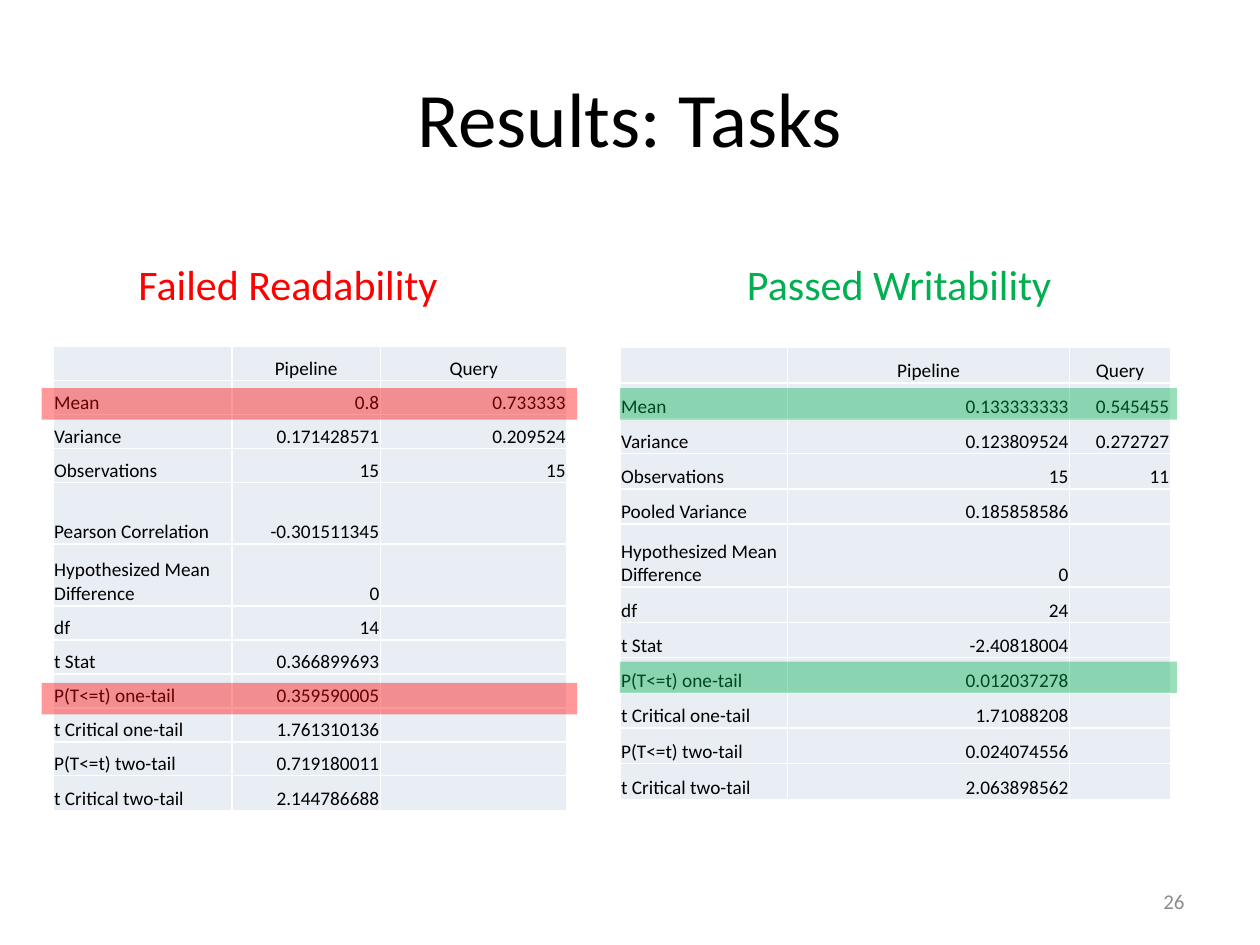
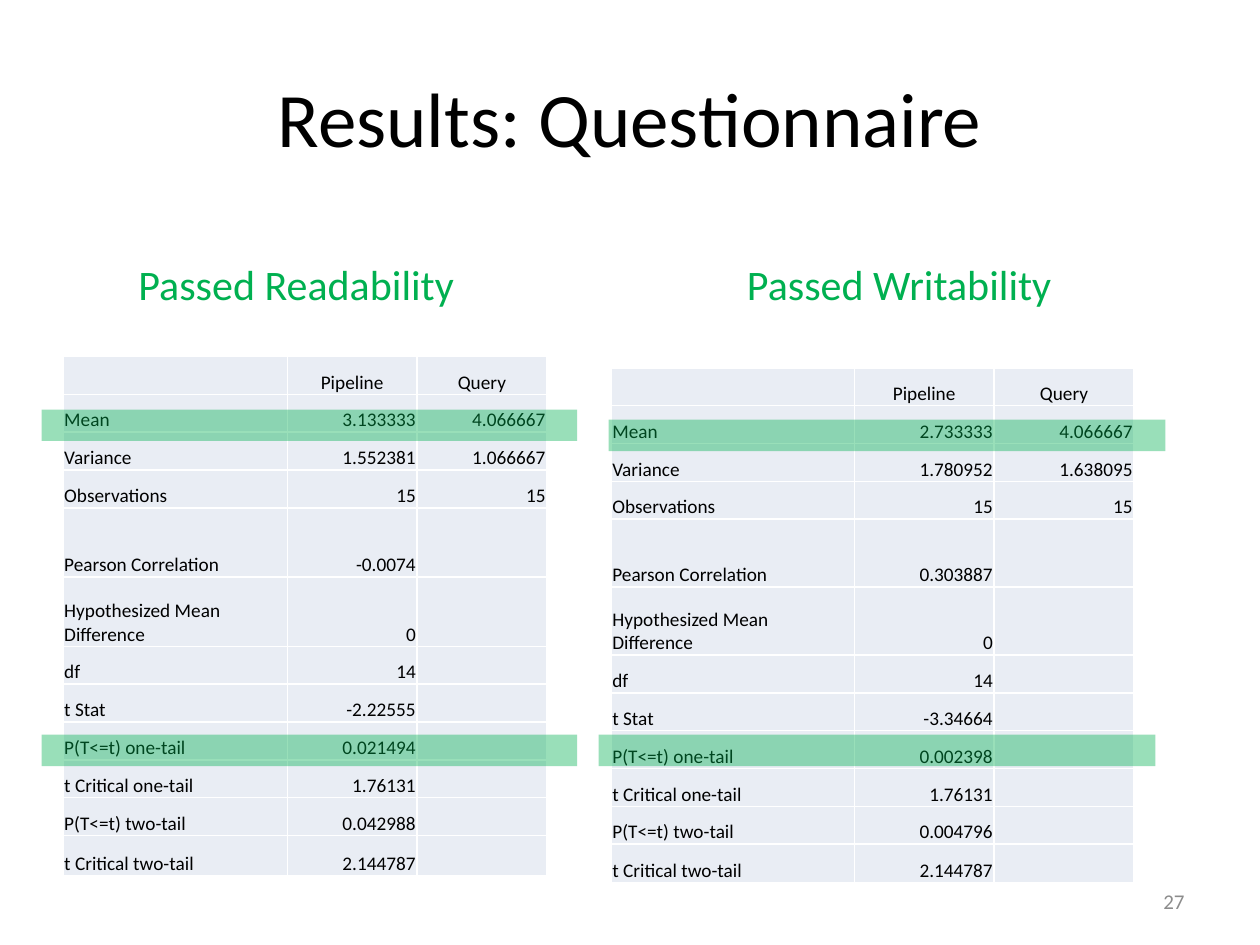
import dataclasses

import lxml.etree
import pptx
import pptx.dml.color
import pptx.enum.shapes
import pptx.enum.text
import pptx.oxml.ns
import pptx.util

Inches = pptx.util.Inches
Pt = pptx.util.Pt
RGBColor = pptx.dml.color.RGBColor
PP_ALIGN = pptx.enum.text.PP_ALIGN
MSO_ANCHOR = pptx.enum.text.MSO_ANCHOR
qn = pptx.oxml.ns.qn


@dataclasses.dataclass(frozen=True)
class Theme:
    font: str = "Calibri"
    ink: str = "000000"
    muted: str = "8C8C8C"
    failed: str = "FF0000"
    passed: str = "00B050"
    cell: str = "E9EDF4"
    border: str = "FFFFFF"
    title_size: int = 44
    verdict_size: int = 24
    number_size: int = 12
    cell_size: int = 11
    band_alpha: int = 40


class Deck:
    def __init__(self, theme):
        self.theme = theme
        self.prs = pptx.Presentation()
        self.prs.slide_width = Inches(10)
        self.prs.slide_height = Inches(7.5)
        self.s = None

    def add_slide(self, title, number):
        t = self.theme
        self.s = self.prs.slides.add_slide(self.prs.slide_layouts[6])
        self.text(title, (0.5, 0.3, 9, 1.25), t.title_size, t.ink,
                  PP_ALIGN.CENTER, MSO_ANCHOR.MIDDLE)
        self.text(str(number), (7.17, 6.95, 2.33, 0.4), t.number_size, t.muted,
                  PP_ALIGN.RIGHT, MSO_ANCHOR.MIDDLE)

    def style(self, p, size, color, align):
        p.alignment = align
        for r in p.runs:
            r.font.name = self.theme.font
            r.font.size = Pt(size)
            r.font.color.rgb = RGBColor.from_string(color)

    def text(self, text, box, size, color, align=PP_ALIGN.LEFT, anchor=MSO_ANCHOR.TOP):
        tf = self.s.shapes.add_textbox(*map(Inches, box)).text_frame
        tf.word_wrap = True
        tf.vertical_anchor = anchor
        tf.text = text
        self.style(tf.paragraphs[0], size, color, align)

    def verdict(self, text, left, color):
        self.text(text, (left, 2, 2.92, 0.5), self.theme.verdict_size, color)

    def table(self, left, top, widths, heights, rows):
        frame = self.s.shapes.add_table(
            len(rows), len(widths), Inches(left), Inches(top),
            Inches(sum(widths)), Inches(sum(heights)))
        table = frame.table
        table.first_row = table.horz_banding = False
        for column, width in zip(table.columns, widths):
            column.width = Inches(width)
        for i, (height, values) in enumerate(zip(heights, rows)):
            table.rows[i].height = Inches(height)
            for j, value in enumerate(values):
                align = (PP_ALIGN.CENTER if i == 0
                         else PP_ALIGN.RIGHT if j else PP_ALIGN.LEFT)
                self.cell(table.cell(i, j), value, align)

    def cell(self, cell, value, align):
        t = self.theme
        cell.margin_left = cell.margin_right = cell.margin_top = Inches(0.01)
        cell.margin_bottom = 0
        cell.vertical_anchor = MSO_ANCHOR.BOTTOM
        p = cell.text_frame.paragraphs[0]
        if value:
            p.text = value
            self.style(p, t.cell_size, t.ink, align)
        else:
            p._p.get_or_add_endParaRPr().set("sz", str(t.cell_size * 100))
        tcPr = cell._tc.get_or_add_tcPr()
        for side in ("lnL", "lnR", "lnT", "lnB"):
            ln = lxml.etree.SubElement(tcPr, qn(f"a:{side}"), w=str(Pt(1)))
            fill = lxml.etree.SubElement(ln, qn("a:solidFill"))
            lxml.etree.SubElement(fill, qn("a:srgbClr"), val=t.border)
        cell.fill.solid()
        cell.fill.fore_color.rgb = RGBColor.from_string(t.cell)

    def band(self, left, top, width, color):
        sp = self.s.shapes.add_shape(
            pptx.enum.shapes.MSO_SHAPE.RECTANGLE,
            Inches(left), Inches(top), Inches(width), Inches(0.25))
        sp.shadow.inherit = False
        sp.line.fill.background()
        sp.fill.solid()
        sp.fill.fore_color.rgb = RGBColor.from_string(color)
        clr = sp._element.spPr.find(f".//{qn('a:srgbClr')}")
        lxml.etree.SubElement(clr, qn("a:alpha"), val=str(self.theme.band_alpha * 1000))


HEADER = ("", "Pipeline", "Query")
PEARSON = "Pearson Correlation"
POOLED = "Pooled Variance"
HYPOTHESIZED = "Hypothesized Mean Difference"
VERDICT_LEFTS = (1, 5.83)


def stat_rows(correlation, pipeline, query):
    labels = ("Mean", "Variance", "Observations", correlation, HYPOTHESIZED,
              "df", "t Stat", "P(T<=t) one-tail", "t Critical one-tail",
              "P(T<=t) two-tail", "t Critical two-tail")
    queries = query + ("",) * (len(labels) - len(query))
    return [HEADER, *zip(labels, pipeline, queries)]


def row_heights(rows, normal, tall, last):
    heights = [tall if row[0] in (PEARSON, HYPOTHESIZED) else normal for row in rows]
    return heights[:-1] + [last]


def main():
    theme = Theme()
    deck = Deck(theme)
    slides = [
        ("Results: Tasks", 26, [
            dict(verdict="Failed Readability", color=theme.failed,
                 at=(0.42, 2.75), widths=(1.42, 1.18, 1.48), heights=(0.27, 0.49, 0.28),
                 rows=stat_rows(
                     PEARSON,
                     ("0.8", "0.171428571", "15", "-0.301511345", "0", "14",
                      "0.366899693", "0.359590005", "1.761310136",
                      "0.719180011", "2.144786688"),
                     ("0.733333", "0.209524", "15")),
                 bands=((0.33, 3.08), (0.33, 5.42)), band_width=4.25),
            dict(verdict="Passed Writability", color=theme.passed,
                 at=(4.92, 2.76), widths=(1.33, 2.24, 0.8), heights=(0.28, 0.5, 0.29),
                 rows=stat_rows(
                     POOLED,
                     ("0.133333333", "0.123809524", "15", "0.185858586", "0", "24",
                      "-2.40818004", "0.012037278", "1.71088208",
                      "0.024074556", "2.063898562"),
                     ("0.545455", "0.272727", "11")),
                 bands=((4.92, 3.08), (4.92, 5.25)), band_width=4.42),
        ]),
        ("Results: Questionnaire", 27, [
            dict(verdict="Passed Readability", color=theme.passed,
                 at=(0.5, 2.83), widths=(1.78, 1.03, 1.03), heights=(0.3, 0.55, 0.32),
                 rows=stat_rows(
                     PEARSON,
                     ("3.133333", "1.552381", "15", "-0.0074", "0", "14",
                      "-2.22555", "0.021494", "1.76131", "0.042988", "2.144787"),
                     ("4.066667", "1.066667", "15")),
                 bands=((0.33, 3.25), (0.33, 5.83)), band_width=4.25),
            dict(verdict="Passed Writability", color=theme.passed,
                 at=(4.85, 2.92), widths=(1.93, 1.11, 1.11), heights=(0.3, 0.54, 0.31),
                 rows=stat_rows(
                     PEARSON,
                     ("2.733333", "1.780952", "15", "0.303887", "0", "14",
                      "-3.34664", "0.002398", "1.76131", "0.004796", "2.144787"),
                     ("4.066667", "1.638095", "15")),
                 bands=((4.83, 3.33), (4.75, 5.83)), band_width=4.42),
        ]),
    ]
    for title, number, tests in slides:
        deck.add_slide(title, number)
        for left, test in zip(VERDICT_LEFTS, tests):
            rows = test["rows"]
            deck.verdict(test["verdict"], left, test["color"])
            deck.table(*test["at"], test["widths"], row_heights(rows, *test["heights"]), rows)
            for band_left, band_top in test["bands"]:
                deck.band(band_left, band_top, test["band_width"], test["color"])
    deck.prs.save("out.pptx")


if __name__ == "__main__":
    main()
